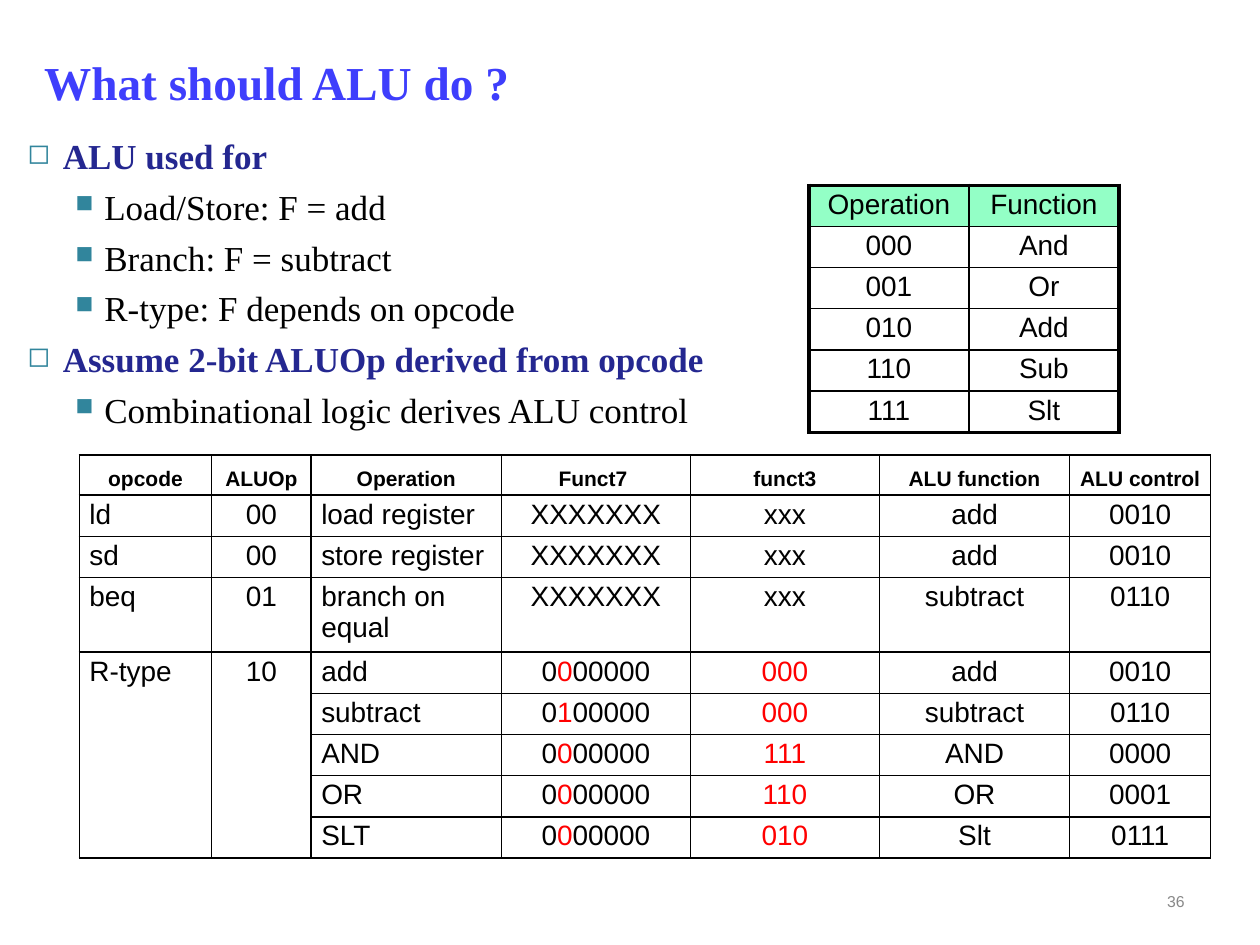
from lxml import etree
from pptx import Presentation, util as u
from pptx.dml.color import RGBColor
from pptx.enum import text as t
from pptx.oxml.ns import qn

# Grid: 100 columns by 75 rows
COLS, ROWS = 100, 75
CELL = u.Inches(0.1)
SERIF, SANS = "Times New Roman", "Arial"
BLACK, RED, NAVY, TEAL = "000000", "FF0000", "242790", "31859C"
LEFT, MID, RIGHT = t.PP_ALIGN.LEFT, t.PP_ALIGN.CENTER, t.PP_ALIGN.RIGHT

POINTS = [
    (0, "ALU used for"),
    (1, "Load/Store: F = add"),
    (1, "Branch: F = subtract"),
    (1, "R-type: F depends on opcode"),
    (0, "Assume 2-bit ALUOp derived from opcode"),
    (1, "Combinational logic derives ALU control"),
]
# Level: indent and hang in columns, bullet, bullet size, colour, bold
LEVELS = [
    (2.8, 2.8, "◻", 80, NAVY, True),
    (6.1, 2.3, "■", 70, BLACK, False),
]
CODES = [
    ["Operation", "Function"],
    ["000", "And"],
    ["001", "Or"],
    ["010", "Add"],
    ["110", "Sub"],
    ["111", "Slt"],
]
# Every second part between bars is red
CONTROL = [
    ["opcode", "ALUOp", "Operation", "Funct7 ", "funct3", "ALU function", "ALU control"],
    ["ld", "00", "load register", "XXXXXXX", "xxx", "add", "0010"],
    ["sd", "00", "store register", "XXXXXXX", "xxx", "add", "0010"],
    ["beq", "01", "branch on equal", "XXXXXXX", "xxx", "subtract", "0110"],
    ["R-type", "10", "add", "0|0|00000", "|000", "add", "0010"],
    ["", "", "subtract", "0|1|00000", "|000", "subtract", "0110"],
    ["", "", "AND", "0|0|00000", "|111", "AND", "0000"],
    ["", "", "OR", "0|0|00000", "|110", "OR", "0001"],
    ["", "", "SLT", "0|0|00000", "|010", "Slt", "0111"],
]


def grid(*cells):
    return [round(n * CELL) for n in cells]


def paint(fill, color):
    fill.solid()
    fill.fore_color.rgb = RGBColor.from_string(color)


def add_run(para, words, size, face, color, bold=False):
    run = para.add_run()
    run.text = words
    run.font.size, run.font.name, run.font.bold = u.Pt(size), face, bold
    paint(run.font.fill, color)


def add_box(slide, box, anchor):
    frame = slide.shapes.add_textbox(*grid(*box)).text_frame
    frame.word_wrap = True
    frame.vertical_anchor = anchor
    return frame


def add_mark(para, indent, hang, char, size):
    props = para._p.get_or_add_pPr()
    left, back = grid(indent, -hang)
    props.set("marL", str(left))
    props.set("indent", str(back))
    hue = etree.SubElement(props, qn("a:buClr"))
    etree.SubElement(hue, qn("a:srgbClr"), val=TEAL)
    etree.SubElement(props, qn("a:buSzPct"), val=str(size * 1000))
    etree.SubElement(props, qn("a:buChar"), char=char)


def add_lines(cell, widths):
    """Draw left, right, top and bottom borders, widths in points."""
    props = cell._tc.get_or_add_tcPr()
    for n, (side, width) in enumerate(zip("LRTB", widths)):
        line = etree.Element(qn("a:ln" + side), w=str(u.Pt(width)))
        fill = etree.SubElement(line, qn("a:solidFill"))
        etree.SubElement(fill, qn("a:srgbClr"), val=BLACK)
        props.insert(n, line)


# Title
def add_title(slide, box):
    title = slide.shapes.title
    title.left, title.top, title.width, title.height = grid(*box)
    frame = title.text_frame
    frame.vertical_anchor = t.MSO_ANCHOR.MIDDLE
    para = frame.paragraphs[0]
    para.alignment = LEFT
    add_run(para, "What should ALU do ?", 27, SERIF, "3E3EFC", True)


# Bulleted points
def add_points(slide, box):
    frame = add_box(slide, box, t.MSO_ANCHOR.TOP)
    for n, (level, words) in enumerate(POINTS):
        para = frame.add_paragraph() if n else frame.paragraphs[0]
        indent, hang, char, size, color, bold = LEVELS[level]
        add_mark(para, indent, hang, char, size)
        para.level = level
        if n:
            para.space_before = u.Pt(5)
        add_run(para, words, 20, SERIF, color, bold)


# Tables
def add_grid(slide, left, top, data, cols, rows, side, edge=1, head=None,
             small=False, flush=()):
    """Fill a table; edge is the outer border, flush the left-aligned columns."""
    table = slide.shapes.add_table(
        len(rows), len(cols), *grid(left, top, sum(cols), sum(rows))).table
    table.first_row = table.horz_banding = False
    for col, width in zip(table.columns, grid(*cols)):
        col.width = width
    for row, height in zip(table.rows, grid(*rows)):
        row.height = height
    for r, row in enumerate(data):
        for c, words in enumerate(row):
            cell = table.cell(r, c)
            title = small and r == 0
            cell.margin_left, cell.margin_right = grid(side, side)
            cell.margin_top, cell.margin_bottom = grid(0.3, 0.3)
            cell.vertical_anchor = (
                t.MSO_ANCHOR.BOTTOM if title else t.MSO_ANCHOR.TOP)
            if head and r == 0:
                paint(cell.fill, head)
            else:
                cell.fill.background()
            outer = (c == 0, c == len(cols) - 1, r == 0, r == len(rows) - 1)
            add_lines(cell, [edge if out else 1 for out in outer])
            para = cell.text_frame.paragraphs[0]
            para.alignment = LEFT if c in flush and not title else MID
            for n, part in enumerate(words.split("|")):
                if part:
                    add_run(para, part, 12 if title else 16, SANS,
                            RED if n % 2 else BLACK, title)
    return table


# Slide number
def add_number(slide, box):
    para = add_box(slide, box, t.MSO_ANCHOR.MIDDLE).paragraphs[0]
    para.alignment = RIGHT
    add_run(para, "36", 9, SANS, "898989")


def main():
    deck = Presentation()
    deck.slide_width, deck.slide_height = grid(COLS, ROWS)
    slide = deck.slides.add_slide(deck.slide_layouts[5])
    add_title(slide, (2.5, 1.3, 86.1, 10.4))
    add_points(slide, (1.2, 10.2, 90, 40.8))
    add_grid(slide, 64.2, 14.7, CODES, [12.7, 11.9], [3.2] * 6, 0.7,
             edge=2.25, head="93FFC6")
    control = add_grid(slide, 6.3, 36.1, CONTROL,
                       [10.5, 7.9, 15.1, 15, 15, 15.1, 11.2],
                       [3.2] * 3 + [5.7] + [3.2] * 5, 0.8,
                       small=True, flush=(0, 2))
    for c in (0, 1):
        control.cell(4, c).merge(control.cell(8, c))
    add_number(slide, (71.7, 69.5, 23.3, 4))
    deck.save("out.pptx")


if __name__ == "__main__":
    main()
